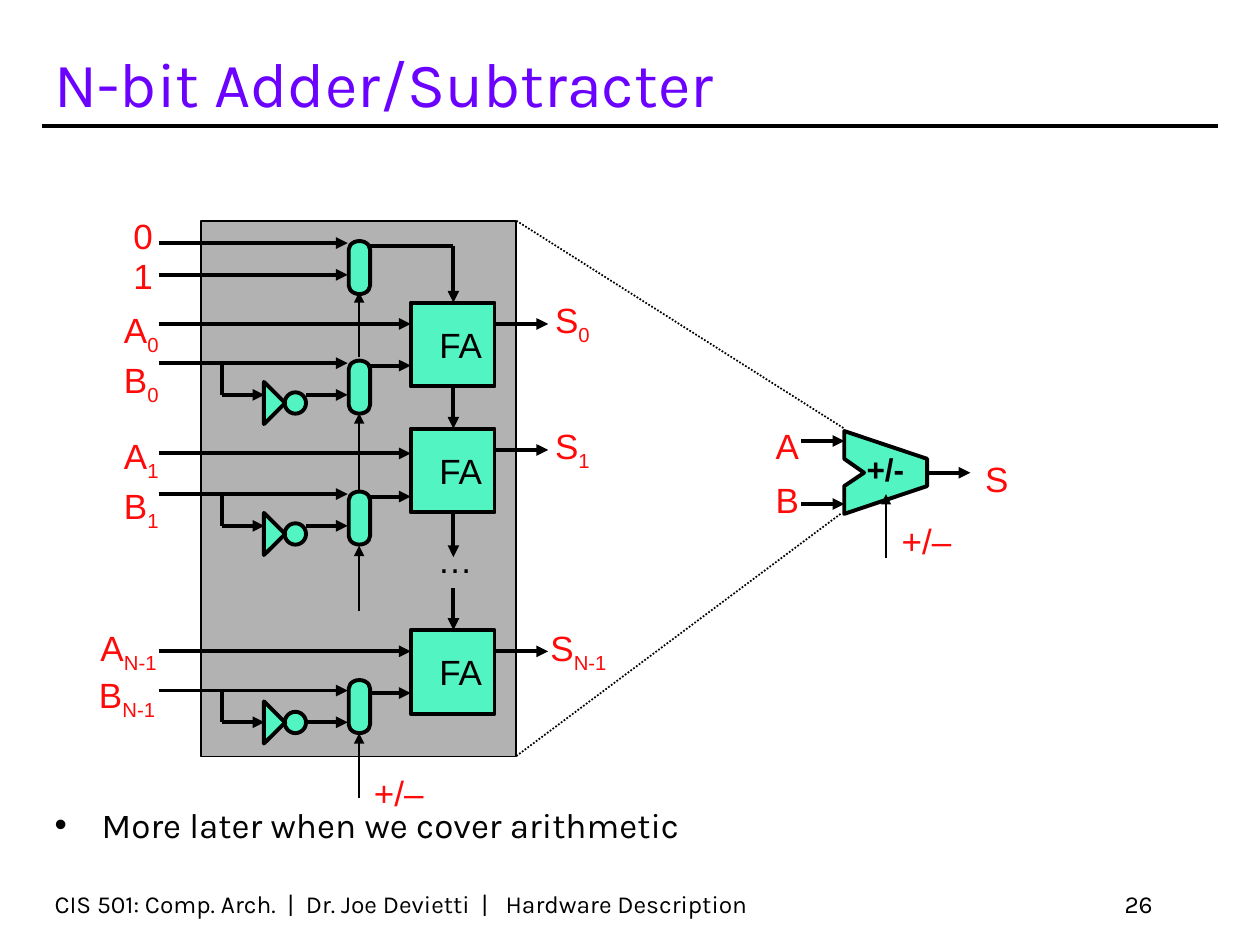
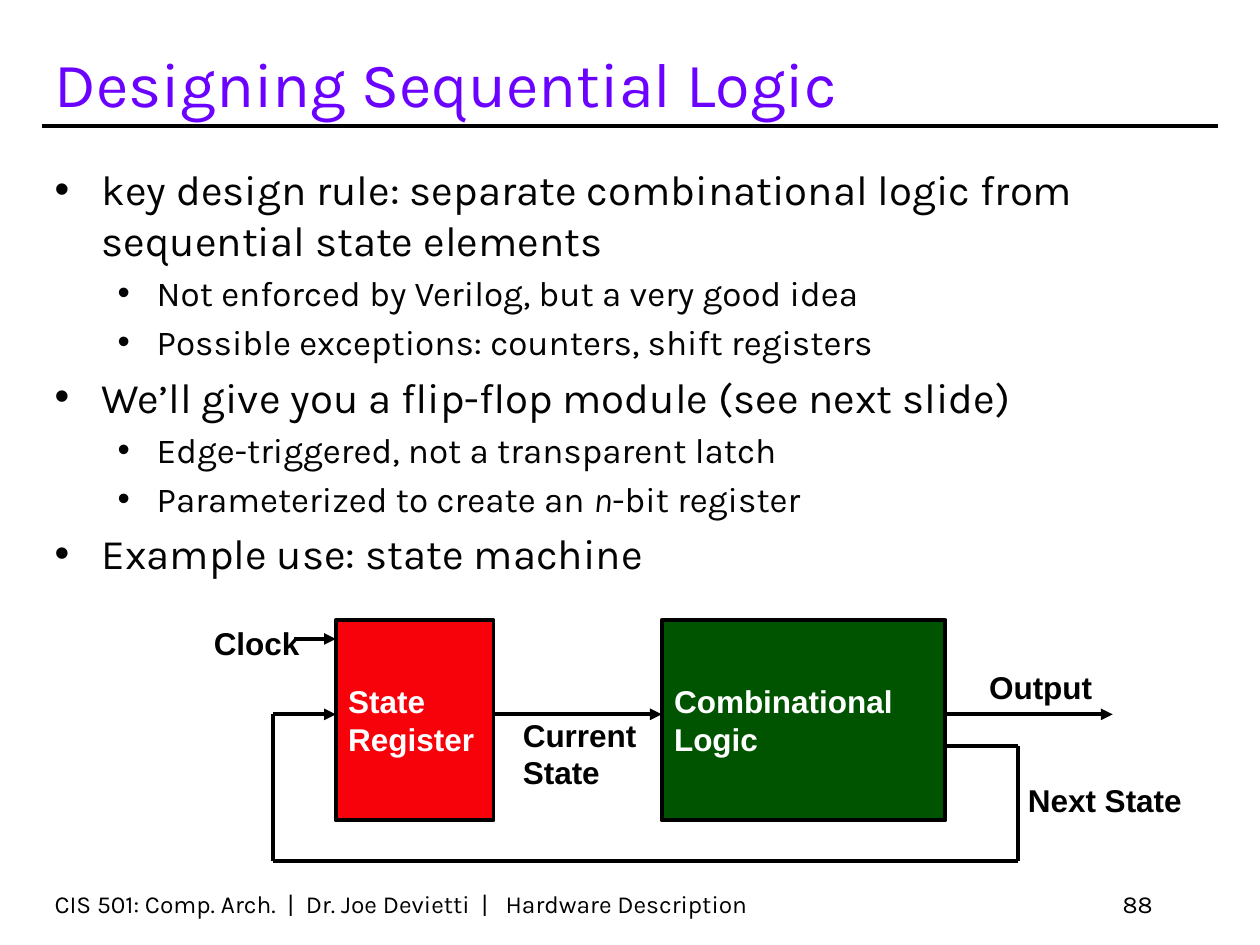
from lxml import etree
from pptx import Presentation
from pptx import util as u
from pptx.dml.color import RGBColor
from pptx.enum import dml, shapes, text
from pptx.oxml.ns import qn

COLORS = {
    "title": "6B02FF", "ink": "000000", "body": "030305", "signal": "FF0909",
    "gate": "52F4C2", "frame": "B2B2B2", "register": "F7020B",
    "logic": "005400", "white": "FFFFFF",
}
FORM = shapes.MSO_SHAPE
ALIGN = text.PP_ALIGN
ANCHOR = text.MSO_ANCHOR


def block(slide, form, place, lines=(), fill=None, weight=2.25, turn=0, size=20,
          color="ink", font="Arial", bold=False, align=ALIGN.LEFT,
          anchor=ANCHOR.TOP, wrap=False, marked="sub"):
    place = [u.Cm(length) for length in place]
    if form is None:
        part = slide.shapes.add_textbox(*place)
    else:
        part = slide.shapes.add_shape(form, *place)
        part.shadow.inherit = False
        part.rotation = turn
        part.fill.solid()
        part.fill.fore_color.rgb = RGBColor.from_string(COLORS[fill])
        part.line.color.rgb = RGBColor.from_string(COLORS["ink"])
        part.line.width = u.Pt(weight)
    frame = part.text_frame
    frame.word_wrap = wrap
    frame.vertical_anchor = anchor
    for row, line in enumerate(lines):
        paragraph = frame.add_paragraph() if row else frame.paragraphs[0]
        paragraph.alignment = align
        for index, piece in enumerate(line.split("_")):
            run = paragraph.add_run()
            run.text = piece
            run.font.size = u.Pt(size)
            run.font.name = font
            run.font.bold = bold
            run.font.color.rgb = RGBColor.from_string(COLORS[color])
            if index % 2 and marked == "sub":
                run.font._element.set("baseline", "-25000")
            elif index % 2:
                run.font.italic = True
    return part


def link(slide, x1, y1, x2, y2, weight=2.25, arrow=True, dash=None):
    wire = slide.shapes.add_connector(
        shapes.MSO_CONNECTOR.STRAIGHT, u.Cm(x1), u.Cm(y1), u.Cm(x2), u.Cm(y2))
    wire.line.color.rgb = RGBColor.from_string(COLORS["ink"])
    wire.line.width = u.Pt(weight)
    if dash:
        wire.line.dash_style = dash
    if arrow:
        etree.SubElement(wire.line._get_or_add_ln(), qn("a:tailEnd"), type="triangle")
    etree.SubElement(wire._element.spPr, qn("a:effectLst"))


deck = Presentation()
deck.slide_width = u.Cm(25.4)
deck.slide_height = u.Cm(19.05)

pages = []
for heading, number in (("N-bit Adder/Subtracter", "26"),
                        ("Designing Sequential Logic", "88")):
    page = deck.slides.add_slide(deck.slide_layouts[5])
    title = page.shapes.title
    title.left, title.top = u.Cm(0.85), u.Cm(0.64)
    title.width, title.height = u.Cm(22.44), u.Cm(1.9)
    title.text_frame.auto_size = text.MSO_AUTO_SIZE.NONE
    title.text_frame.vertical_anchor = ANCHOR.BOTTOM
    title.text_frame.paragraphs[0].alignment = ALIGN.LEFT
    run = title.text_frame.paragraphs[0].add_run()
    run.text = heading
    run.font.name = "Karla"
    run.font.size = u.Pt(36)
    run.font.color.rgb = RGBColor.from_string(COLORS["title"])
    link(page, 0.85, 2.54, 24.55, 2.54, arrow=False)
    block(page, None, (0.85, 17.78, 15.88, 0.85),
          ["CIS 501: Comp. Arch.  |  Dr. Joe Devietti  |   Hardware Description"],
          size=14, font="Karla", anchor=ANCHOR.BOTTOM, wrap=True)
    block(page, None, (18.2, 17.78, 5.29, 0.85), [number], size=14, font="Karla",
          align=ALIGN.RIGHT, anchor=ANCHOR.BOTTOM, wrap=True)
    pages.append(page)
adder, machine = pages

points = [(17.02, 8.69), (18.69, 9.25), (18.69, 9.8), (17.02, 10.36),
          (17.02, 9.8), (17.42, 9.53), (17.02, 9.25)]
outline = [(u.Cm(x), u.Cm(y)) for x, y in points]
builder = adder.shapes.build_freeform(*outline[0])
builder.add_line_segments(outline[1:], close=True)
symbol = builder.convert_to_shape()
symbol.shadow.inherit = False
symbol.fill.solid()
symbol.fill.fore_color.rgb = RGBColor.from_string(COLORS["gate"])
symbol.line.color.rgb = RGBColor.from_string(COLORS["ink"])
symbol.line.width = u.Pt(2.25)
block(adder, None, (17.22, 8.94, 1.27, 1.02), ["+/-"], size=18, bold=True)
for x1, y, x2 in ((18.69, 9.53, 19.56), (16.15, 10.16, 17.02), (16.15, 8.89, 17.02)):
    link(adder, x1, y, x2, y)

block(adder, FORM.RECTANGLE, (4.05, 4.45, 6.35, 10.8), fill="frame", weight=1)

bits = [
    ("0", 6.1, 6.53, 7.32, 0.16, (1.86, 6.1), (1.86, 7.11), (10.55, 5.89), 1.59),
    ("1", 8.64, 9.14, 9.96, 0.16, (1.86, 8.64), (1.86, 9.65), (10.55, 8.43), 1.59),
    ("N-1", 12.7, 13.13, 13.92, 0, (1.38, 12.5), (1.35, 13.46), (10.45, 12.5), 2.03),
]
for bit, top, a_row, b_row, sag, a_spot, b_spot, s_spot, label_width in bits:
    block(adder, FORM.RECTANGLE, (8.28, top, 1.69, 1.69), ["FA"], fill="gate",
          align=ALIGN.RIGHT, anchor=ANCHOR.MIDDLE)
    for letter, spot in (("A", a_spot), ("B", b_spot), ("S", s_spot)):
        block(adder, None, (*spot, label_width, 1.22), [f"{letter}_{bit}"],
              color="signal", align=ALIGN.RIGHT)
    middle = b_row + 0.64 + sag
    block(adder, FORM.FLOWCHART_CONNECTOR, (5.74, middle - 0.21, 0.43, 0.43), fill="gate")
    block(adder, FORM.ISOSCELES_TRIANGLE, (5.11, middle - 0.21, 0.85, 0.43),
          fill="gate", turn=90)
    block(adder, FORM.FLOWCHART_TERMINATOR, (6.71, b_row + 0.11 + sag, 1.07, 0.43),
          fill="gate", turn=90)
    for x1, y, x2 in ((3.2, a_row, 8.28), (3.2, b_row, 7.01), (4.47, b_row + 0.64, 5.33),
                      (6.17, b_row + 0.64, 7.01), (7.44, b_row + 0.05, 8.28),
                      (9.98, top + 0.43, 11.05)):
        link(adder, x1, y, x2, y)
    link(adder, 4.47, b_row, 4.47, b_row + 0.64, arrow=False)

block(adder, FORM.FLOWCHART_TERMINATOR, (6.71, 5.18, 1.07, 0.43), fill="gate", turn=90)
link(adder, 7.44, 4.95, 9.14, 4.95, arrow=False)
for y in (4.9, 5.54):
    link(adder, 3.2, y, 7.01, y)
for start, end in ((4.95, 6.1), (7.79, 8.64), (10.37, 11.23), (11.86, 12.7)):
    link(adder, 9.14, start, 9.14, end)
for x, start, end in ((7.24, 16.08, 14.78), (7.24, 12.32, 11), (7.24, 9.91, 8.33),
                      (7.24, 7.19, 5.89), (17.86, 11.25, 9.96)):
    link(adder, x, start, x, end, weight=1)
for x1, y1, x2, y2 in ((10.41, 4.45, 17.02, 8.64), (10.41, 15.24, 16.97, 10.34)):
    link(adder, x1, y1, x2, y2, weight=1, arrow=False, dash=dml.MSO_LINE.ROUND_DOT)

for signal, left, top, width, color in (
        ("0", 2.44, 4.19, 0.89, "signal"), ("1", 2.44, 5, 0.89, "signal"),
        ("…", 8.56, 10.74, 1.22, "ink"), ("+/–", 6.89, 15.42, 1.9, "signal"),
        ("+/–", 17.53, 10.34, 1.9, "signal"), ("A", 15.39, 8.43, 0.97, "signal"),
        ("B", 15.39, 9.53, 0.97, "signal"), ("S", 19.61, 9.09, 0.97, "signal")):
    block(adder, None, (left, top, width, 1.09), [signal], color=color, align=ALIGN.RIGHT)

outlines = [
    (adder, 16.08, 1.27, [(0, 20, "More later when we cover arithmetic")]),
    (machine, 3.18, 14.17, [
        (0, 24, "key design rule: separate combinational logic from sequential state elements"),
        (1, 20, "Not enforced by Verilog, but a very good idea"),
        (1, 20, "Possible exceptions: counters, shift registers"),
        (0, 24, "We’ll give you a flip-flop module (see next slide)"),
        (1, 20, "Edge-triggered, not a transparent latch"),
        (1, 20, "Parameterized to create an _n_-bit register"),
        (0, 24, "Example use: state machine"),
    ]),
]
for page, top, height, points in outlines:
    body = block(page, None, (0.85, top, 23.7, height), [line for _, _, line in points],
                 color="body", font="Karla", wrap=True, marked="italic")
    for row, (level, size, _) in enumerate(points):
        paragraph = body.text_frame.paragraphs[row]
        properties = paragraph._p.get_or_add_pPr()
        properties.set("marL", str(u.Cm((0.95, 2.06)[level])))
        properties.set("indent", str(-u.Cm((0.95, 0.79)[level])))
        tint = etree.SubElement(properties, qn("a:buClr"))
        etree.SubElement(tint, qn("a:srgbClr"), val=COLORS["body"])
        etree.SubElement(properties, qn("a:buFont"), typeface="Arial")
        etree.SubElement(properties, qn("a:buChar"), char="•")
        paragraph.level = level
        if row:
            paragraph.space_before = u.Pt(size / 5)
        for run in paragraph.runs:
            run.font.size = u.Pt(size)

for lines, left, width, fill in ((["State", "Register"], 6.77, 3.18, "register"),
                                 (["Combinational", "Logic"], 13.34, 5.72, "logic")):
    block(machine, FORM.RECTANGLE, (left, 12.5, width, 4.04), lines, fill=fill, size=18,
          color="white", bold=True, anchor=ANCHOR.MIDDLE, wrap=True)
for x1, y, x2 in ((9.95, 14.4, 13.34), (19.05, 14.4, 22.43),
                  (5.5, 14.4, 6.77), (5.93, 12.88, 6.77)):
    link(machine, x1, y, x2, y)
feedback = [(19.05, 15.03), (20.53, 15.03), (20.53, 17.36), (5.5, 17.36), (5.5, 14.4)]
for start, end in zip(feedback, feedback[1:]):
    link(machine, *start, *end, arrow=False)
for lines, left, top, width, height in (
        (["Output"], 19.69, 13.34, 2.9, 1.02), (["Next State"], 20.47, 15.62, 3.9, 1.02),
        (["Current", "State"], 10.29, 14.3, 3.2, 1.78), (["Clock"], 4.06, 12.45, 2.5, 1.02)):
    block(machine, None, (left, top, width, height), lines, size=18, bold=True,
          anchor=ANCHOR.MIDDLE)

deck.save("out.pptx")
